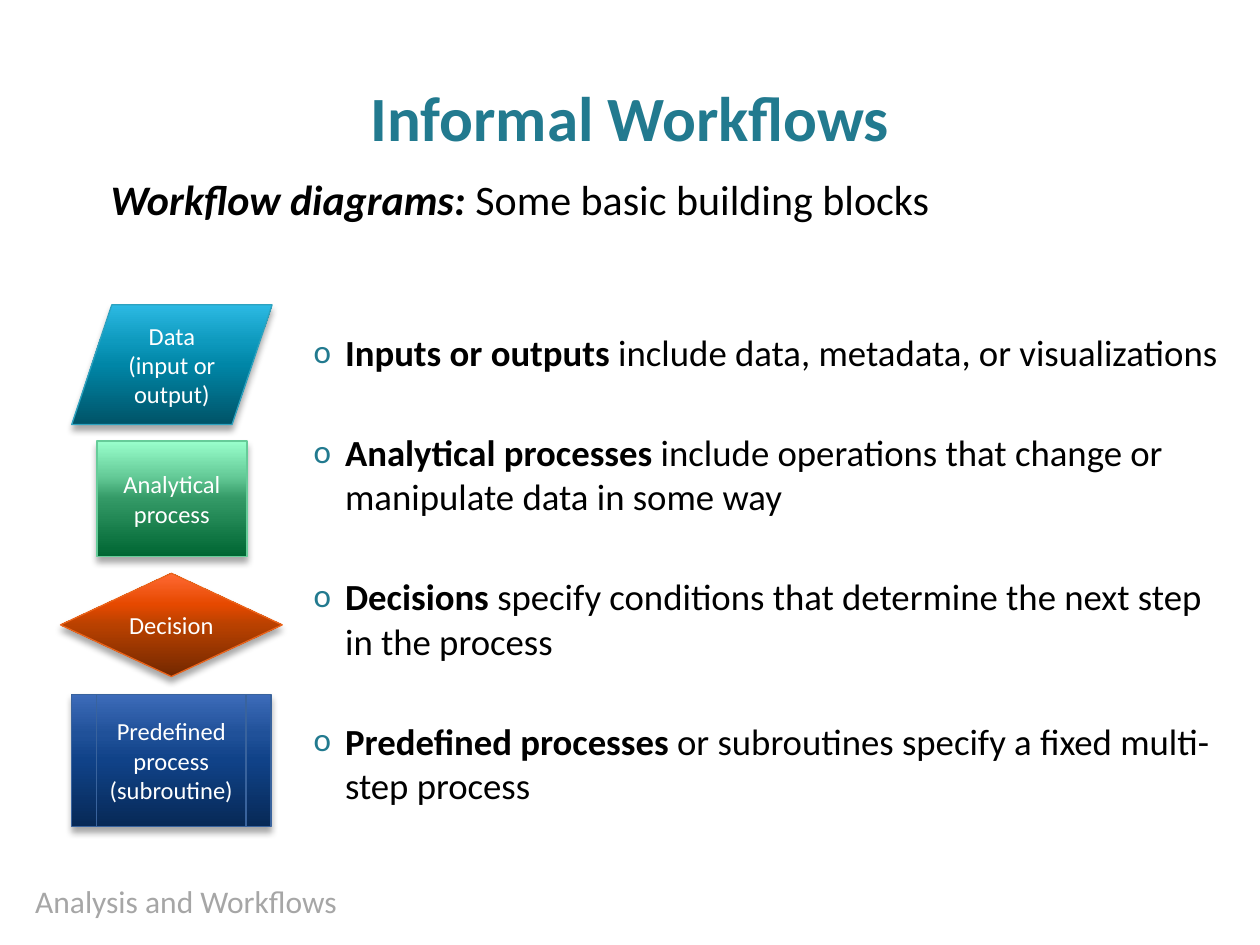
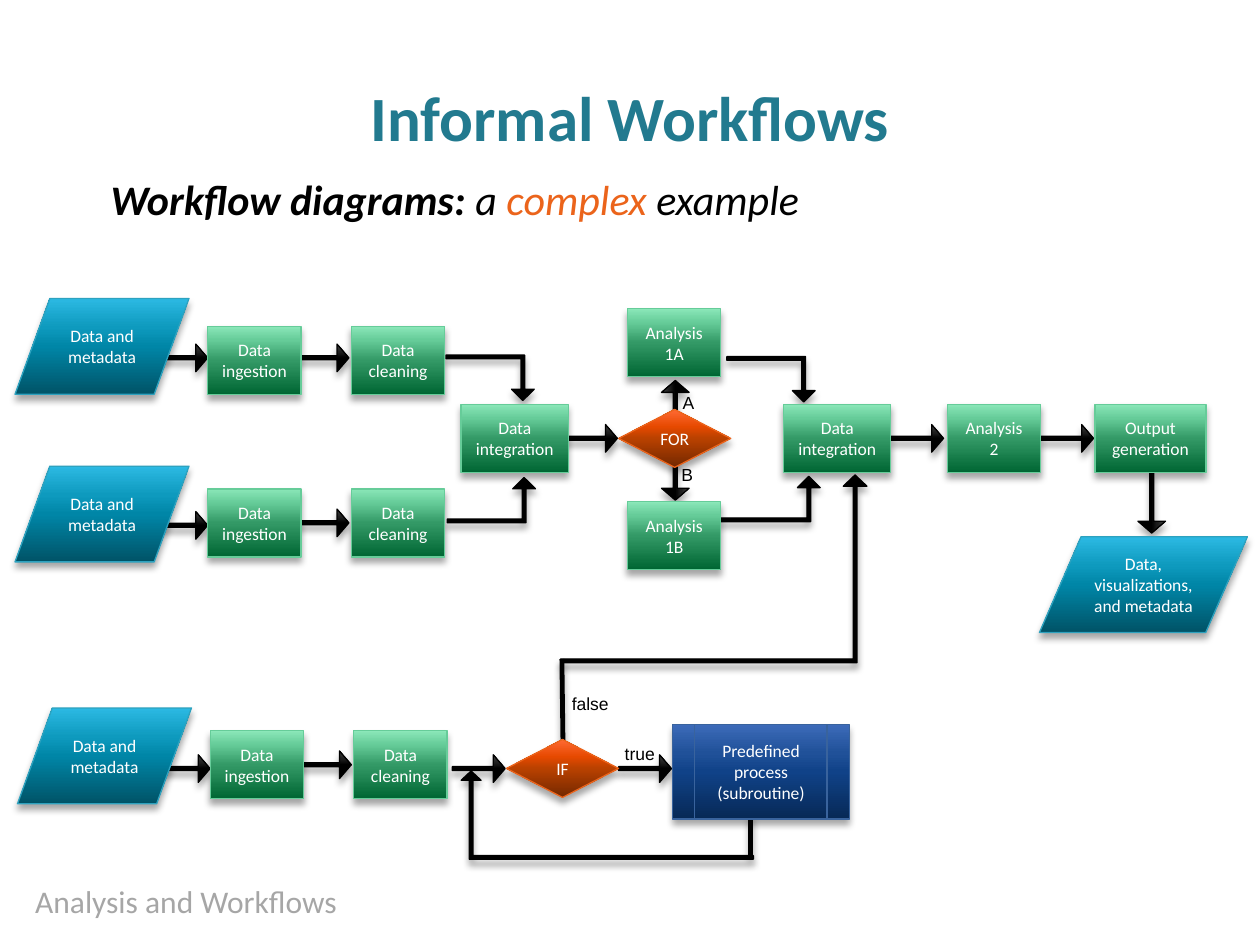
from lxml import etree
from pptx import Presentation, util as u
from pptx.dml.color import RGBColor
from pptx.enum import shapes, text
from pptx.oxml.ns import qn

HUES = {"teal": "227A8F", "grey": "A6A6A6", "black": "000000",
        "white": "FFFFFF", "orange": "EB641B"}
FONT = "Calibri"
TITLE = "Informal Workflows"
FOOT = "Analysis and Workflows"

# kind: (preset, line colour, gradient stops from bottom to top)
G = shapes.MSO_SHAPE
KINDS = {
    "step": (G.FLOWCHART_PROCESS, "66CC99",
             [(0, "006633"), (50, "339966"), (80, "66CC99"), (100, "8BE7B9")]),
    "bright": (G.FLOWCHART_PROCESS, "66CC99",
               [(0, "006633"), (50, "339966"), (70, "66CC99"), (100, "99FFCC")]),
    "data": (G.FLOWCHART_DATA, "2DA2BF",
             [(0, "005367"), (50, "0086A7"), (70, "0E9ABE"), (100, "2CB9E3")]),
    "test": (G.FLOWCHART_DECISION, "EB641B",
             [(0, "732800"), (50, "B94100"), (70, "E64900"), (100, "FF6933")]),
    "sub": (G.FLOWCHART_PREDEFINED_PROCESS, "39639D",
            [(0, "072956"), (50, "104288"), (70, "205199"), (100, "3D6BB9")]),
    "arrow": (G.RIGHT_ARROW, "000000",
              [(0, "000000"), (50, "000000"), (70, "1D1D1D"), (100, "424242")]),
    "bent": (G.BENT_UP_ARROW, "000000", None),
}

# Slide 1: building blocks and what they mean
HEAD_1 = [("Workflow diagrams: ", dict(bold=True, italic=True)),
          ("Some basic building blocks", {})]
BLOCKS = [
    ("bright", "Analytical process", 55.4, 252, 85.7, 65.9),
    ("data", "Data (input or output)", 41, 174.2, 114.5, 68.4),
    ("test", "Decision", 34.6, 327.6, 126.7, 59),
    ("sub", "Predefined process\n(subroutine)", 41, 396.7, 113.8, 75.6),
]
NOTES = [
    ("Inputs or outputs", " include data, metadata, or visualizations"),
    ("Analytical processes",
     " include operations that change or manipulate data in some way"),
    ("Decisions",
     " specify conditions that determine the next step in the process"),
    ("Predefined processes",
     " or subroutines specify a fixed multi-step process"),
]

# Slide 2: a workflow fed by three tracks
HEAD_2 = [("Workflow diagrams: ", dict(bold=True, italic=True)),
          ("a ", dict(italic=True)),
          ("complex ", dict(italic=True, hue="orange")),
          ("example", dict(italic=True))]
STEP_W, STEP_H = 53.3, 38.9
DATA_W, DATA_H = 99.4, 54.7
TEST_W, TEST_H = 64.1, 33.1
LONG, THICK = 30.2, 15.8
MID = 231.1
# left edge, then tops of data, steps, first arrow, second arrow
TRACKS = [(8.6, 170.6, 186.5, 196.6, 196.6),
          (8.6, 266.4, 279.4, 292.3, 290.9),
          (10, 404.6, 417.6, 431.3, 429.1)]
NODES = [
    ("step", "Analysis 1A", 358.6, 176.4, STEP_W, STEP_H),
    ("step", "Analysis 1B", 358.6, 286.6, STEP_W, STEP_H),
    ("step", "Data integration", 263.5, MID, 61.2, STEP_H),
    ("step", "Data integration", 447.8, MID, 61.2, STEP_H),
    ("step", "Analysis 2", 541.4, MID, STEP_W, STEP_H),
    ("step", "Output generation", 625.7, MID, 63.4, STEP_H),
    ("data", "Data, visualizations, and metadata", 594, 306.7, 118.8, DATA_H),
    ("test", "FOR", 353.5, 234, TEST_W, TEST_H),
    ("test", "IF", 289.4, 422.6, TEST_W, TEST_H),
    ("sub", "Predefined process\n(subroutine)", 384.5, 414, 100.8, 54),
]
# left, top, length, turn
ARROWS = [(353.5, 431.3, LONG, 0), (258.5, 431.3, LONG, 0),
          (322.6, 242.6, LONG, 0), (509, 242.6, LONG, 0),
          (594.7, 242.6, LONG, 0), (640.8, 279.4, 34.6, 90),
          (370.8, 262.8, LONG, 90), (370.8, 224.6, LONG, 270)]
# left, top, width, height, turn, flipped, adjustments
EVEN = (.081, .25, .25)
BENDS = [(255.6, 272.9, 50.4, 25.9, 0, False, EVEN),
         (254.9, 203, 50.4, 25.9, 0, True, EVEN),
         (411.8, 272.2, 56.9, 25.9, 0, False, EVEN),
         (415.4, 203.8, 50.4, 25.9, 0, True, EVEN),
         (263.5, 440.6, 167, 50.4, 180, True, (.041, .113, .106)),
         (320.4, 271.4, 175, 107.3, 0, False, (.02, .063, .06))]
STUBS = [(429.1, 488.9, 429.1, 465.1), (321.8, 431.3, 321.1, 376.6)]
TAGS = [("false", 319.7, 392.4, 41), ("true", 349.9, 421.2, 33.1),
        ("A", 383, 220.3, 41), ("B", 382.3, 261.4, 33.1)]


def pts(*vals):
    return [u.Pt(v) for v in vals]


def style(font, size, hue="black", name=FONT, **fmt):
    for key, val in dict(fmt, size=u.Pt(size), name=name).items():
        setattr(font, key, val)
    font.color.rgb = RGBColor.from_string(HUES[hue])


def cast(part):
    """Give a shape or connector its soft drop shadow."""
    props = part.element.find(qn("p:spPr"))
    effects = props.find(qn("a:effectLst"))
    if effects is None:
        effects = etree.SubElement(props, qn("a:effectLst"))
    shade = etree.SubElement(effects, qn("a:outerShdw"), blurRad=str(u.Pt(4)),
                             dist=str(u.Pt(3)), dir="5400000", rotWithShape="0")
    tint = etree.SubElement(shade, qn("a:srgbClr"), val=HUES["black"])
    etree.SubElement(tint, qn("a:alpha"), val="35000")


def blend(shape, stops):
    """Fill with a gradient that runs from bottom to top."""
    shape.fill.gradient()
    shape.fill.gradient_angle = 90
    ramp = shape.element.find(".//" + qn("a:gsLst"))
    for old in list(ramp):
        ramp.remove(old)
    for pos, hue in stops:
        stop = etree.SubElement(ramp, qn("a:gs"), pos=str(pos * 1000))
        etree.SubElement(stop, qn("a:srgbClr"), val=hue)


def draw(slide, kind, box, turn=0, flip=False, adj=()):
    preset, edge, stops = KINDS[kind]
    shape = slide.shapes.add_shape(preset, *pts(*box))
    shape.shadow.inherit = False
    shape.rotation = turn
    for i, val in enumerate(adj):
        shape.adjustments[i] = val
    if flip:
        shape.element.spPr.find(qn("a:xfrm")).set("flipV", "1")
    if stops:
        blend(shape, stops)
    else:
        shape.fill.solid()
        shape.fill.fore_color.rgb = RGBColor.from_string(edge)
    shape.line.color.rgb = RGBColor.from_string(edge)
    shape.line.width = u.Pt(.75)
    cast(shape)
    return shape


def node(slide, size, kind, words, *box):
    frame = draw(slide, kind, box).text_frame
    frame.word_wrap = True
    frame.vertical_anchor = text.MSO_ANCHOR.MIDDLE
    frame.text = words
    for para in frame.paragraphs:
        para.alignment = text.PP_ALIGN.CENTER
        style(para.runs[0].font, size, "white")


def arrow(slide, x, y, long, turn=0):
    draw(slide, "arrow", (x, y, long, THICK), turn, adj=(.143, .43))


def write(slide, *box):
    frame = slide.shapes.add_textbox(*pts(*box)).text_frame
    frame.word_wrap = True
    return frame


def add(para, words, size, **fmt):
    run = para.add_run()
    run.text = words
    style(run.font, size, **fmt)


def indent(para, left, first):
    props = para._p.get_or_add_pPr()
    props.set("marL", str(u.Pt(left)))
    props.set("indent", str(u.Pt(first)))
    return props


def begin(deck, head):
    """Add a slide with the shared title, footer and heading line."""
    slide = deck.slides.add_slide(deck.slide_layouts[5])
    title = slide.shapes.title
    spot = dict(zip(("left", "top", "width", "height"), pts(0, 38.9, 720, 55.4)))
    for key, val in spot.items():
        setattr(title, key, val)
    title.text_frame.vertical_anchor = text.MSO_ANCHOR.MIDDLE
    para = title.text_frame.paragraphs[0]
    para.alignment = text.PP_ALIGN.CENTER
    add(para, TITLE, 36, hue="teal", bold=True)
    add(write(slide, 13, 500.4, 301, 28.8).paragraphs[0], FOOT, 18, hue="grey")
    para = write(slide, 47.5, 95.8, 629.3, 98.6).paragraphs[0]
    para.space_before = u.Pt(4)
    indent(para, 8.6, 0)
    for words, fmt in head:
        add(para, words, 24, **fmt)
    return slide


def bullet(props):
    tint = etree.SubElement(props, qn("a:buClr"))
    etree.SubElement(tint, qn("a:srgbClr"), val=HUES["teal"])
    etree.SubElement(props, qn("a:buSzPct"), val="90000")
    etree.SubElement(props, qn("a:buFont"), typeface=FONT)
    etree.SubElement(props, qn("a:buChar"), char="o")


def basics(deck):
    slide = begin(deck, HEAD_1)
    for block in BLOCKS:
        node(slide, 14, *block)
    frame = write(slide, 141.1, 185, 566, 299.5)
    for i, (term, rest) in enumerate(NOTES):
        para = frame.add_paragraph() if i else frame.paragraphs[0]
        para.level = 1
        para.space_before = u.Pt(32 if i else 3.2)
        bullet(indent(para, 49, -18))
        add(para, term, 21, bold=True)
        add(para, rest, 21)


def example(deck):
    slide = begin(deck, HEAD_2)
    for x, _, _, first, second in TRACKS:
        arrow(slide, x + 79.9, first, LONG)
        arrow(slide, x + 160.6, second, LONG)
    for spot in ARROWS:
        arrow(slide, *spot)
    for *box, turn, flip, adj in BENDS:
        draw(slide, "bent", box, turn, flip, adj)
    for ends in STUBS:
        stub = slide.shapes.add_connector(shapes.MSO_CONNECTOR.STRAIGHT,
                                          *pts(*ends))
        stub.line.color.rgb = RGBColor.from_string(HUES["black"])
        stub.line.width = u.Pt(2.75)
        cast(stub)
    for words, x, y, wide in TAGS:
        add(write(slide, x, y, wide, 19.4).paragraphs[0], words, 10, name="Arial")
    for x, top, row, _, _ in TRACKS:
        node(slide, 10, "data", "Data and metadata", x, top, DATA_W, DATA_H)
        for words, shift in (("Data ingestion", 110.2), ("Data cleaning", 192.2)):
            node(slide, 10, "step", words, x + shift, row, STEP_W, STEP_H)
    for item in NODES:
        node(slide, 10, *item)


def main():
    deck = Presentation()
    deck.slide_width, deck.slide_height = pts(720, 540)
    basics(deck)
    example(deck)
    deck.save("out.pptx")


if __name__ == "__main__":
    main()
